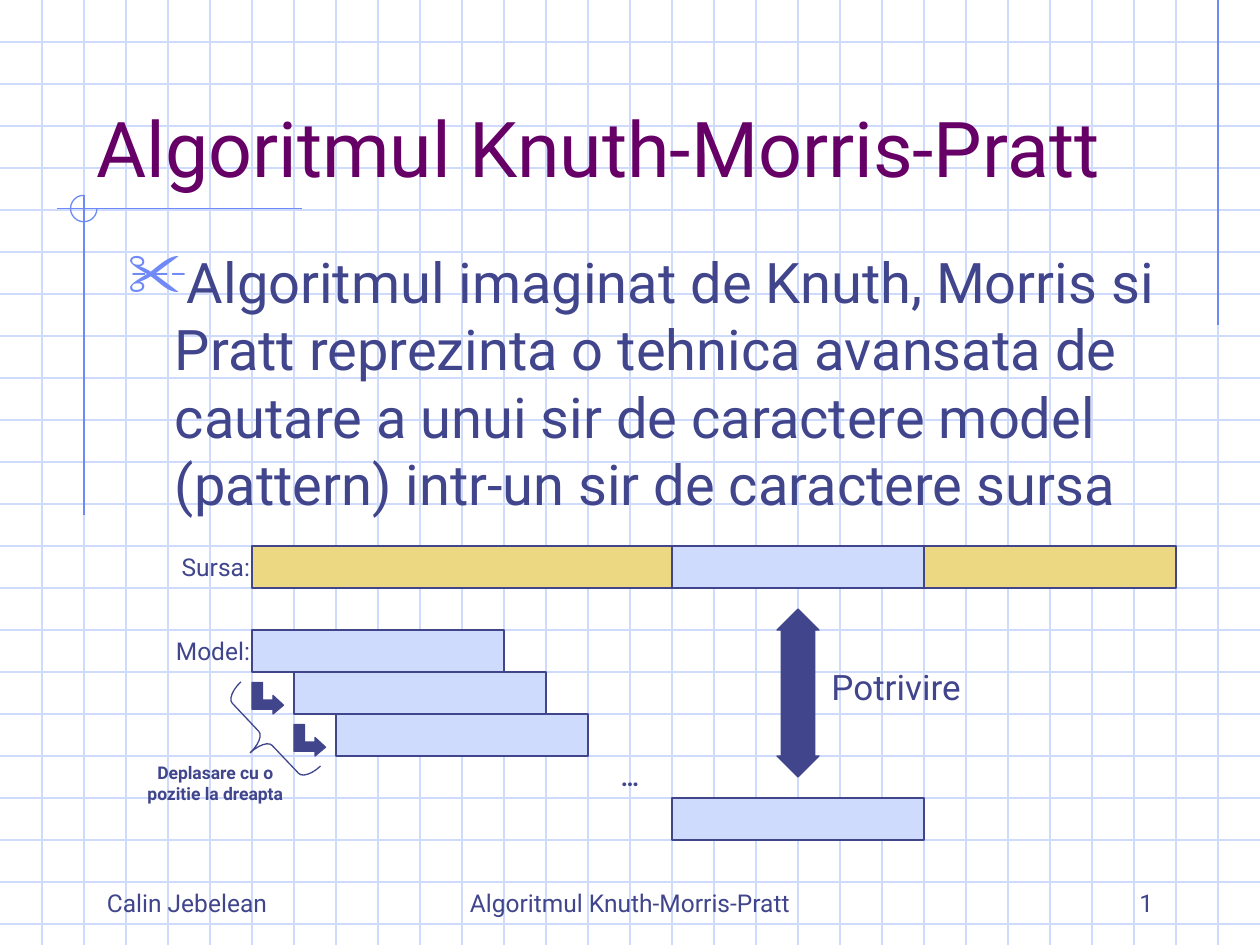
from pptx import Presentation
from pptx.dml.color import RGBColor as RGB
from pptx.enum.shapes import MSO_CONNECTOR as LINK, MSO_SHAPE as KIND
from pptx.enum.text import MSO_ANCHOR as ANCHOR, PP_ALIGN as ALIGN
from pptx.oxml.ns import qn
from pptx.util import Cm, Pt
from lxml.etree import SubElement as Sub


class Theme:
    font = "Roboto"
    ink, title, grid = "40458C", "660066", "CFDBFD"
    rule, sand, sky = "6F89F7", "ECD882", "CFDBFD"
    big, body, mid, note, tiny = 44, 32, 20, 14, 10
    line = 0.75


# All lengths count squares of the background grid
UNIT = 2.54 / 3
WIDE, HIGH = 30, 22.5
BAR = 6  # length of the model
L, C, R = ALIGN.LEFT, ALIGN.CENTER, ALIGN.RIGHT
TOP, LOW = ANCHOR.TOP, ANCHOR.BOTTOM

NAME = "Algoritmul Knuth-Morris-Pratt"
BODY = ("Algoritmul imaginat de Knuth, Morris si Pratt reprezinta o tehnica "
        "avansata de cautare a unui sir de caractere model (pattern) "
        "intr-un sir de caractere sursa")

# text, box, size, colour, align, anchor, bold
TEXTS = [
    ("Calin Jebelean", (2.25, 20.5, 6.25, 1.5), Theme.note, Theme.ink, L, LOW, False),
    (NAME, (10.25, 20.5, 9.5, 1.5), Theme.note, Theme.ink, C, LOW, False),
    ("1", (21.5, 20.5, 6.25, 1.5), Theme.note, Theme.ink, R, LOW, False),
    (NAME, (2, 1, 25.5, 3.75), Theme.big, Theme.title, L, LOW, False),
    ("…", (12, 18, 6, 1), Theme.note, Theme.ink, C, TOP, True),
    ("Deplasare cu o pozitie la dreapta", (3, 18, 4.25, 1.3),
     Theme.tiny, Theme.ink, C, TOP, True),
    ("Potrivire", (19.5, 15.7, 4, 1.3), Theme.mid, Theme.ink, L, TOP, False),
    ("Sursa:", (3.25, 13, 3, 1), Theme.note, Theme.ink, R, TOP, False),
    ("Model:", (3.25, 15, 3, 1), Theme.note, Theme.ink, R, TOP, False),
]
# left, top, width, fill
BARS = [(6, 13, 22, Theme.sand), (16, 13, BAR, Theme.sky)]
BARS += [(6 + i, 15 + i, BAR, Theme.sky) for i in range(3)]
BARS += [(16, 19, BAR, Theme.sky)]
RULES = [(29, 0, 29, 7.75), (7.2, 4.97, 1.35, 4.97), (2, 4.65, 2, 12.27)]
STEP = [(0.75, 0.54), (0.5, 0.31), (0.5, 0.42), (0.25, 0.42), (0.25, 0),
        (0, 0), (0, 0.64), (0.5, 0.64), (0.5, 0.75)]

deck = Presentation()


def span(*nums):
    return [Cm(n * UNIT) for n in nums]


deck.slide_width, deck.slide_height = span(WIDE, HIGH)
slide = deck.slides.add_slide(deck.slide_layouts[6])
shapes = slide.shapes


def rule(ends, hue):
    link = shapes.add_connector(LINK.STRAIGHT, *span(*ends))
    link.line.color.rgb = RGB.from_string(hue)
    link.line.width = Pt(Theme.line)
    Sub(link._element.spPr, qn("a:effectLst"))


def paint(shape, fill=None, hue=Theme.ink):
    shape.shadow.inherit = False
    if fill:
        shape.fill.solid()
        shape.fill.fore_color.rgb = RGB.from_string(fill)
    else:
        shape.fill.background()
    shape.line.color.rgb = RGB.from_string(hue)
    shape.line.width = Pt(Theme.line)


def draw(kind, box, fill=None, hue=Theme.ink, tune=()):
    shape = shapes.add_shape(kind, *span(*box))
    for i, val in enumerate(tune):
        shape.adjustments[i] = val
    paint(shape, fill, hue)
    return shape


def write(text, box, size, hue, align=L, anchor=TOP, bold=False, mark=None):
    frame = shapes.add_textbox(*span(*box)).text_frame
    frame.word_wrap = True
    frame.vertical_anchor = anchor
    para = frame.paragraphs[0]
    para.text = text
    para.alignment = align
    if mark:
        props = para._p.get_or_add_pPr()
        props.set("marL", str(Cm(0.95)))
        props.set("indent", str(Cm(-0.95)))
        Sub(Sub(props, qn("a:buClr")), qn("a:srgbClr"), val=Theme.rule)
        Sub(props, qn("a:buSzPct"), val="110000")
        Sub(props, qn("a:buChar"), char=mark)
    font = para.font
    font.name, font.size, font.bold = Theme.font, Pt(size), bold
    font.color.rgb = RGB.from_string(hue)


# Background grid
for y in range(1, 23):
    rule((0, y, WIDE, y), Theme.grid)
for x in range(1, WIDE):
    rule((x, 0, x, HIGH), Theme.grid)

# Accent lines and the open circle
for ends in RULES:
    rule(ends, Theme.rule)
draw(KIND.ARC, (1.68, 4.65, 0.63, 0.63), hue=Theme.rule, tune=(0, 162))

# Source and model bars
for x, y, width, fill in BARS:
    draw(KIND.RECTANGLE, (x, y, width, 1), fill)

# Step arrows, one per shift
for i in range(2):
    dots = [span(6 + i + x, 16.25 + i + y) for x, y in STEP]
    pen = shapes.build_freeform(*dots[0])
    pen.add_line_segments(dots[1:], close=True)
    paint(pen.convert_to_shape(), Theme.ink)

# Brace over the shifts, and the match arrow
brace = draw(KIND.LEFT_BRACE, (5.82, 16.2, 1, 2.76), tune=(0.23, 0.5))
brace.rotation = 316.6
draw(KIND.UP_DOWN_ARROW, (18.5, 14.5, 1, 4), Theme.ink, tune=(0.5, 0.8))

# Texts
write(BODY, (2.75, 5.75, 25.5, 14.75), Theme.body, Theme.ink, mark="✂")
for item in TEXTS:
    write(*item)

deck.save("out.pptx")
